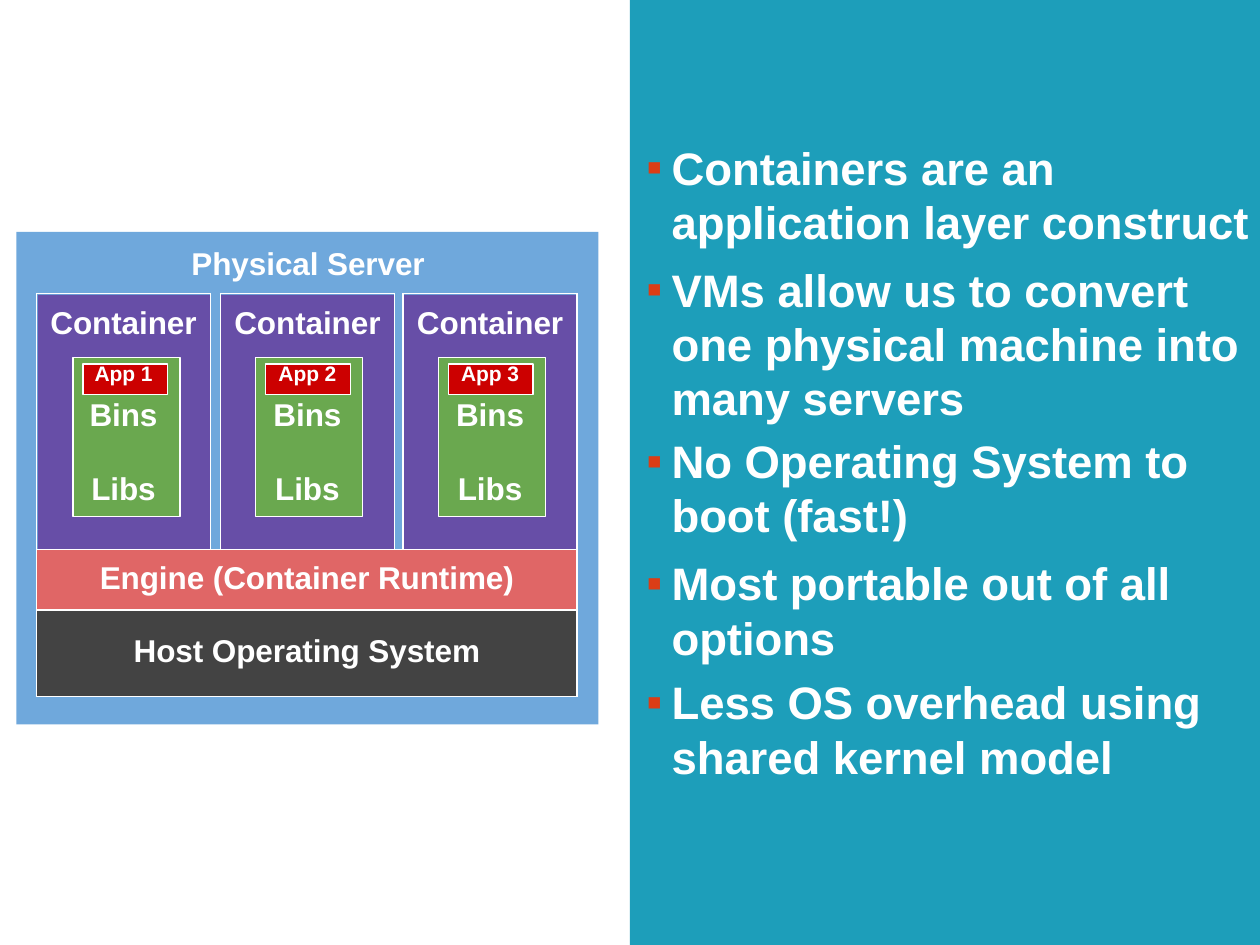
"""Builds a slide that explains containers beside a server stack diagram."""
from lxml.etree import SubElement
from pptx import Presentation
from pptx.dml.color import RGBColor
from pptx.enum.shapes import MSO_SHAPE
from pptx.enum.text import MSO_ANCHOR, MSO_AUTO_SIZE, PP_ALIGN
from pptx.oxml.ns import qn
from pptx.util import Inches, Pt

WHITE, TEAL, SKY = "FFFFFF", "1D9EBA", "6FA8DC"
PURPLE, GREEN, RED = "674EA7", "6AA84F", "CC0000"
CORAL, CHARCOAL, ORANGE = "E06666", "434343", "DB3D16"
NO_STYLE = "{2D5ABB26-0587-4C30-8999-92F81FD0307C}"
CONTAINER_LEFT, CONTAINER_STEP, CONTAINER_COUNT = 0.3, 1.45, 3
POINTS = [
    ("Containers are an application layer construct", 0),
    ("VMs allow us to convert one physical machine into many servers", 7.9),
    ("No Operating System to boot (fast!)", 4.7),
    ("Most portable out of all options", 7.9),
    ("Less OS overhead using shared kernel model", 5.9),
]


def color(value):
    """Turn a hex string into a colour."""
    return RGBColor.from_string(value)


def add_bullet(para):
    """Give a paragraph a small square bullet with a hanging indent."""
    properties = para._p.get_or_add_pPr()
    properties.set("marL", str(Inches(0.21)))
    properties.set("indent", str(Inches(-0.2)))
    tint = SubElement(properties, qn("a:buClr"))
    SubElement(tint, qn("a:srgbClr"), val=ORANGE)
    SubElement(properties, qn("a:buFont"), typeface="Arial")
    SubElement(properties, qn("a:buChar"), char="▪")
    tabs = SubElement(properties, qn("a:tabLst"))
    SubElement(tabs, qn("a:tab"), pos=str(Inches(0.21)), algn="l")


def write(frame, text, size=18, align=PP_ALIGN.CENTER, before=0, spacing=None, bullet=False):
    """Write one paragraph into a text frame."""
    para = frame.paragraphs[0] if not frame.text else frame.add_paragraph()
    if bullet:
        add_bullet(para)
    para.alignment = align
    para.space_before = Pt(before)
    if spacing:
        para.line_spacing = Pt(spacing)
    span = para.add_run()
    span.text = text
    span.font.name, span.font.size, span.font.bold = "Arial", Pt(size), True
    span.font.color.rgb = color(WHITE)
    span._r.get_or_add_rPr().set("spc", "-5")


def set_margins(target, top=0):
    """Set the top margin of a frame or cell and clear the others."""
    target.margin_left = target.margin_right = target.margin_bottom = 0
    target.margin_top = Inches(top)


class SlideBuilder:
    """Holds the current slide and draws each kind of element in one style."""

    def __init__(self, deck):
        """Add a slide with a body and no title."""
        self.page = deck.slides.add_slide(deck.slide_layouts[1])
        title = self.page.shapes.title._element
        title.getparent().remove(title)

    def rectangle(self, left, top, width, height, fill, line=None):
        """Draw a filled rectangle with an optional thin outline."""
        box = self.page.shapes.add_shape(
            MSO_SHAPE.RECTANGLE, Inches(left), Inches(top), Inches(width), Inches(height))
        box.shadow.inherit = False
        box.fill.solid()
        box.fill.fore_color.rgb = color(fill)
        if line:
            box.line.color.rgb = color(line)
            box.line.width = Pt(0.75)
        else:
            box.line.fill.background()

    def label(self, left, top, width, height, text):
        """Add a centred text label."""
        box = self.page.shapes.add_textbox(
            Inches(left), Inches(top), Inches(width), Inches(height))
        frame = box.text_frame
        frame.word_wrap = True
        set_margins(frame, 0.01)
        write(frame, text)

    def container(self, left):
        """Draw one container with its library and app boxes."""
        self.rectangle(left, 2.34, 1.38, 2.03, PURPLE)
        self.rectangle(left + 0.28, 2.84, 0.85, 1.26, GREEN, WHITE)
        self.rectangle(left + 0.36, 2.89, 0.67, 0.24, RED, WHITE)

    def cell(self, cell, sides, fill=None, top=0):
        """Format the borders, fill and margins of a table cell."""
        set_margins(cell, top)
        properties = cell._tc.get_or_add_tcPr()
        for side in sides:
            border = SubElement(properties, qn(f"a:ln{side}"), w=str(Pt(1)))
            paint = SubElement(border, qn("a:solidFill"))
            SubElement(paint, qn("a:srgbClr"), val=WHITE)
        if fill:
            cell.fill.solid()
            cell.fill.fore_color.rgb = color(fill)
        else:
            cell.fill.background()

    def stack_table(self):
        """Add the table of containers above the runtime and host rows."""
        widths, heights = [1.38, 0.08, 1.38, 0.07, 1.38], [2.03, 0.48, 0.69]
        holder = self.page.shapes.add_table(
            3, 5, Inches(0.29), Inches(2.33), Inches(sum(widths)), Inches(sum(heights)))
        table = holder.table
        table.first_row = table.horz_banding = False
        table._tbl.tblPr.find(qn("a:tableStyleId")).text = NO_STYLE
        for column, width in zip(table.columns, widths):
            column.width = Inches(width)
        for row, height in zip(table.rows, heights):
            row.height = Inches(height)
        for index in range(len(widths)):
            cell = table.cell(0, index)
            if index % 2:
                self.cell(cell, "LRB", SKY)
                continue
            self.cell(cell, "LRTB", top=0.1)
            frame = cell.text_frame
            write(frame, "Container")
            write(frame, f"App {index // 2 + 1}", size=12, before=12.2)
            write(frame, "Bins", before=5.7, spacing=21.1)
            write(frame, "Libs", before=21.2, spacing=21.1)
        layers = [("Engine (Container Runtime)", CORAL, 0.09),
                  ("Host Operating System", CHARCOAL, 0.19)]
        for row, (text, fill, top) in enumerate(layers, start=1):
            table.cell(row, 0).merge(table.cell(row, len(widths) - 1))
            for index in range(len(widths)):
                self.cell(table.cell(row, index), "LRTB", fill, top)
            write(table.cell(row, 0).text_frame, text)

    def bullets(self, left, top, width, height, points):
        """Place the body in front of the panel and fill it with bullets."""
        body = self.page.placeholders[1]
        body.left, body.top = Inches(left), Inches(top)
        body.width, body.height = Inches(width), Inches(height)
        self.page.shapes._spTree.append(body._element)
        frame = body.text_frame
        frame.word_wrap = True
        frame.auto_size = MSO_AUTO_SIZE.NONE
        frame.vertical_anchor = MSO_ANCHOR.TOP
        set_margins(frame, 0.02)
        for text, before in points:
            write(frame, text, size=26, align=PP_ALIGN.LEFT, before=before,
                  spacing=31, bullet=True)


def main():
    """Build and save the deck."""
    deck = Presentation()
    deck.slide_width, deck.slide_height = Inches(10), Inches(7.5)
    builder = SlideBuilder(deck)
    builder.rectangle(5, 0, 5, 7.5, TEAL)
    builder.rectangle(0.13, 1.84, 4.62, 3.91, SKY)
    builder.label(1.5, 1.93, 1.89, 0.33, "Physical Server")
    for index in range(CONTAINER_COUNT):
        builder.container(CONTAINER_LEFT + index * CONTAINER_STEP)
    builder.stack_table()
    builder.bullets(5.12, 1.09, 4.83, 5.13, POINTS)
    deck.save("out.pptx")


if __name__ == "__main__":
    main()
